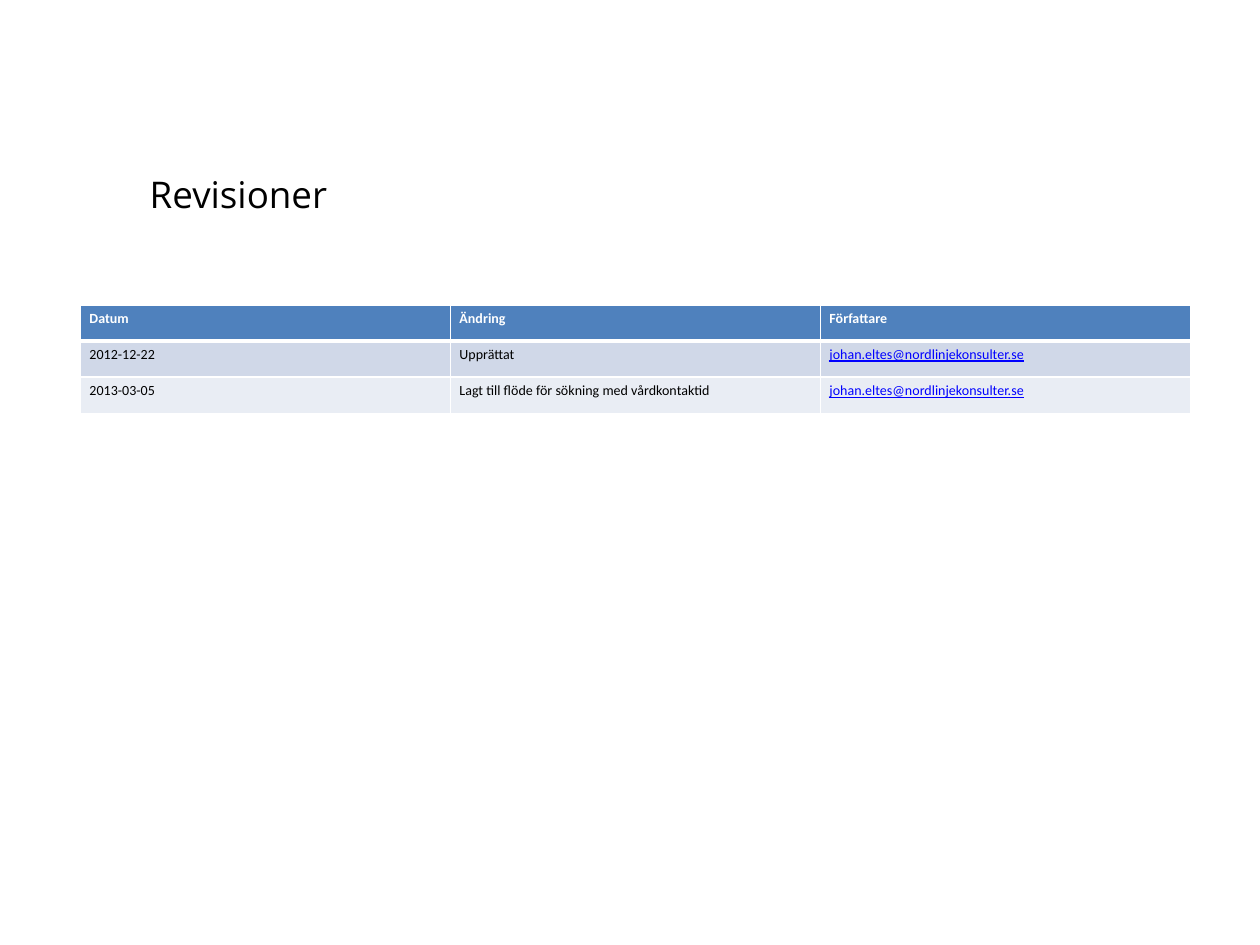
from lxml import etree
from pptx import Presentation
from pptx.dml.color import RGBColor
from pptx.enum.text import MSO_ANCHOR as Anchor
from pptx.oxml.ns import qn
from pptx.util import Inches, Pt

BLACK = RGBColor(0x00, 0x00, 0x00)
WHITE = RGBColor(0xFF, 0xFF, 0xFF)
HEADER_BLUE = RGBColor(0x4F, 0x81, 0xBD)
LINK_BLUE = RGBColor(0x00, 0x00, 0xFF)
BANDS = [RGBColor(0xD0, 0xD8, 0xE8), RGBColor(0xE9, 0xED, 0xF4)]

AUTHOR = "johan.eltes@nordlinjekonsulter.se"
REVISIONS = [
    ["Datum", "Ändring", "Författare"],
    ["2012-12-22", "Upprättat", AUTHOR],
    ["2013-03-05", "Lagt till flöde för sökning med vårdkontaktid", AUTHOR],
]


class RevisionPage:
    title_format = {"name": "Open Sans", "size": Pt(21)}
    cell_format = {"name": "Calibri", "size": Pt(8)}
    cell_margins = {
        "margin_left": Inches(0.07), "margin_right": Inches(0.07),
        "margin_top": Inches(0.04), "margin_bottom": Inches(0.04),
    }

    def __init__(self, deck):
        self.page = deck.slides.add_slide(deck.slide_layouts[6])

    def add_text(self, para, text, color, values):
        span = para.add_run()
        span.text = text
        span.font.color.rgb = color
        for name, value in values.items():
            setattr(span.font, name, value)

    def title(self, text, left, top, width, height):
        box = self.page.shapes.add_textbox(
            Inches(left), Inches(top), Inches(width), Inches(height))
        frame = box.text_frame
        frame.word_wrap = True
        frame.vertical_anchor = Anchor.MIDDLE
        self.add_text(frame.paragraphs[0], text, BLACK, self.title_format)

    def borders(self, cell, widths):
        properties = cell._tc.get_or_add_tcPr()
        for index, (side, width) in enumerate(widths.items()):
            line = etree.Element(qn(f"a:ln{side}"), w=str(Pt(width)))
            fill = etree.SubElement(line, qn("a:solidFill"))
            etree.SubElement(fill, qn("a:srgbClr"), val=str(WHITE))
            properties.insert(index, line)

    def table(self, rows, left, top, width, height):
        frame = self.page.shapes.add_table(
            len(rows), len(rows[0]),
            Inches(left), Inches(top), Inches(width), Inches(height))
        grid = frame.table
        for row_index, row in enumerate(rows):
            for column_index, text in enumerate(row):
                self.cell(grid.cell(row_index, column_index), text, row_index)

    def cell(self, cell, text, row_index):
        header = row_index == 0
        link = "@" in text
        for name, value in self.cell_margins.items():
            setattr(cell, name, value)
        cell.fill.solid()
        cell.fill.fore_color.rgb = (
            HEADER_BLUE if header else BANDS[(row_index - 1) % 2])
        self.borders(cell, {"L": 1, "R": 1, "T": 3 if row_index == 1 else 1,
                            "B": 3 if header else 1})
        color = WHITE if header else LINK_BLUE if link else BLACK
        values = {**self.cell_format, "bold": header, "underline": link}
        self.add_text(cell.text_frame.paragraphs[0], text, color, values)


deck = Presentation()
deck.slide_width, deck.slide_height = Inches(10), Inches(7.5)
revisions = RevisionPage(deck)

# Heading
revisions.title("Revisioner", 1.09, 1.11, 8.36, 0.85)

# Revision history
revisions.table(REVISIONS, 0.64, 2.42, 8.81, 0.86)

deck.save("out.pptx")
